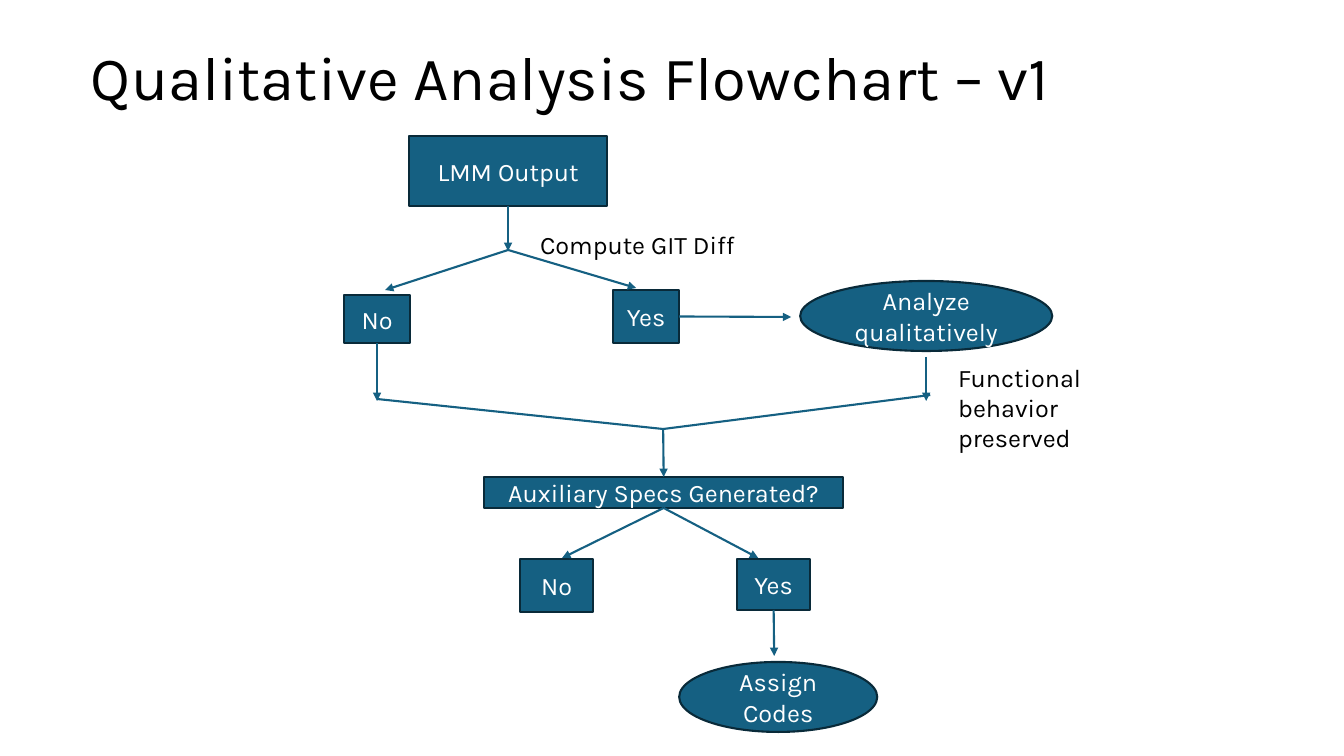
from lxml.etree import SubElement
from pptx import Presentation
from pptx.dml.color import RGBColor
from pptx.enum.shapes import MSO_CONNECTOR as Connector, MSO_SHAPE as Shape
from pptx.enum.text import MSO_ANCHOR as Anchor, MSO_AUTO_SIZE as AutoSize, PP_ALIGN as Align
from pptx.oxml.ns import qn
from pptx.util import Inches, Pt

FONT = "Karla"
TEAL = RGBColor(0x15, 0x60, 0x82)
NAVY = RGBColor(0x09, 0x2A, 0x39)
WHITE = RGBColor(0xFF, 0xFF, 0xFF)
BLACK = RGBColor(0x00, 0x00, 0x00)
EMU_PER_PX = 914400 / 100.8
TOP, BOTTOM, RIGHT = 0, 2, 3

TITLE = ("Qualitative Analysis Flowchart – v1", (81, 8, 1159, 146))

STEPS = {
    "output": ("LMM Output", Shape.RECTANGLE, (409, 136, 198, 70)),
    "no diff": ("No", Shape.RECTANGLE, (344, 295, 66, 48)),
    "diff": ("Yes", Shape.RECTANGLE, (613, 290, 66, 53)),
    "analyze": ("Analyze qualitatively", Shape.OVAL, (800, 281, 252, 70)),
    "specs": ("Auxiliary Specs Generated?", Shape.RECTANGLE, (484, 477, 359, 31)),
    "no specs": ("No", Shape.RECTANGLE, (520, 559, 73, 53)),
    "has specs": ("Yes", Shape.RECTANGLE, (737, 559, 73, 51)),
    "assign": ("Assign Codes", Shape.OVAL, (679, 662, 198, 70)),
}

NOTES = [
    ("Compute GIT Diff", (530, 224, 219, 38)),
    ("Functional behavior preserved", (948, 357, 230, 72)),
]

ARROWS = [
    (("output", BOTTOM), (508, 251)),
    ((508, 250), (385, 290)),
    ((508, 250), (636, 288)),
    (("diff", RIGHT), (791, 317)),
    (("no diff", BOTTOM), (377, 401)),
    ((926, 357), (926, 401)),
    ((663, 429), ("specs", TOP)),
    (("specs", BOTTOM), (562, 558)),
    (("specs", BOTTOM), (758, 558)),
    (("has specs", BOTTOM), (774, 656)),
]

MERGE_LINES = [
    ((377, 399), (663, 429)),
    ((930, 395), (663, 429)),
]


def emu(px):
    return round(px * EMU_PER_PX)


def write(frame, words, size, color, align, anchor):
    frame.word_wrap = True
    frame.vertical_anchor = anchor
    paragraph = frame.paragraphs[0]
    paragraph.alignment = align
    run = paragraph.add_run()
    run.text = words
    run.font.name = FONT
    run.font.size = Pt(size)
    run.font.color.rgb = color
    return paragraph


def add_step(slide, words, outline, box):
    step = slide.shapes.add_shape(outline, *map(emu, box))
    step.shadow.inherit = False
    step.fill.solid()
    step.fill.fore_color.rgb = TEAL
    step.line.color.rgb = NAVY
    step.line.width = Pt(1.5)
    write(step.text_frame, words, 18, WHITE, Align.CENTER, Anchor.MIDDLE)
    return step


def add_link(slide, steps, start, end, arrow):
    points = [(0, 0) if isinstance(point[0], str) else point for point in (start, end)]
    link = slide.shapes.add_connector(
        Connector.STRAIGHT, *(emu(px) for point in points for px in point))
    for point, join in ((start, link.begin_connect), (end, link.end_connect)):
        if isinstance(point[0], str):
            join(steps[point[0]], point[1])
    link.line.color.rgb = TEAL
    link.line.width = Pt(1.5)
    if arrow:
        SubElement(link.line._get_or_add_ln(), qn("a:tailEnd"), type="triangle")
    SubElement(link._element.spPr, qn("a:effectLst"))


def main():
    deck = Presentation()
    deck.slide_width, deck.slide_height = Inches(13.33), Inches(7.5)
    slide = deck.slides.add_slide(deck.slide_layouts[6])

    words, box = TITLE
    title = slide.shapes.add_textbox(*map(emu, box))
    write(title.text_frame, words, 44, BLACK, Align.LEFT, Anchor.MIDDLE).line_spacing = 0.9

    steps = {name: add_step(slide, *step) for name, step in STEPS.items()}
    for words, box in NOTES:
        note = slide.shapes.add_textbox(*map(emu, box))
        write(note.text_frame, words, 18, BLACK, Align.LEFT, Anchor.TOP)
        note.text_frame.auto_size = AutoSize.SHAPE_TO_FIT_TEXT
    for links, arrow in ((ARROWS, True), (MERGE_LINES, False)):
        for start, end in links:
            add_link(slide, steps, start, end, arrow)

    deck.save("out.pptx")


if __name__ == "__main__":
    main()
